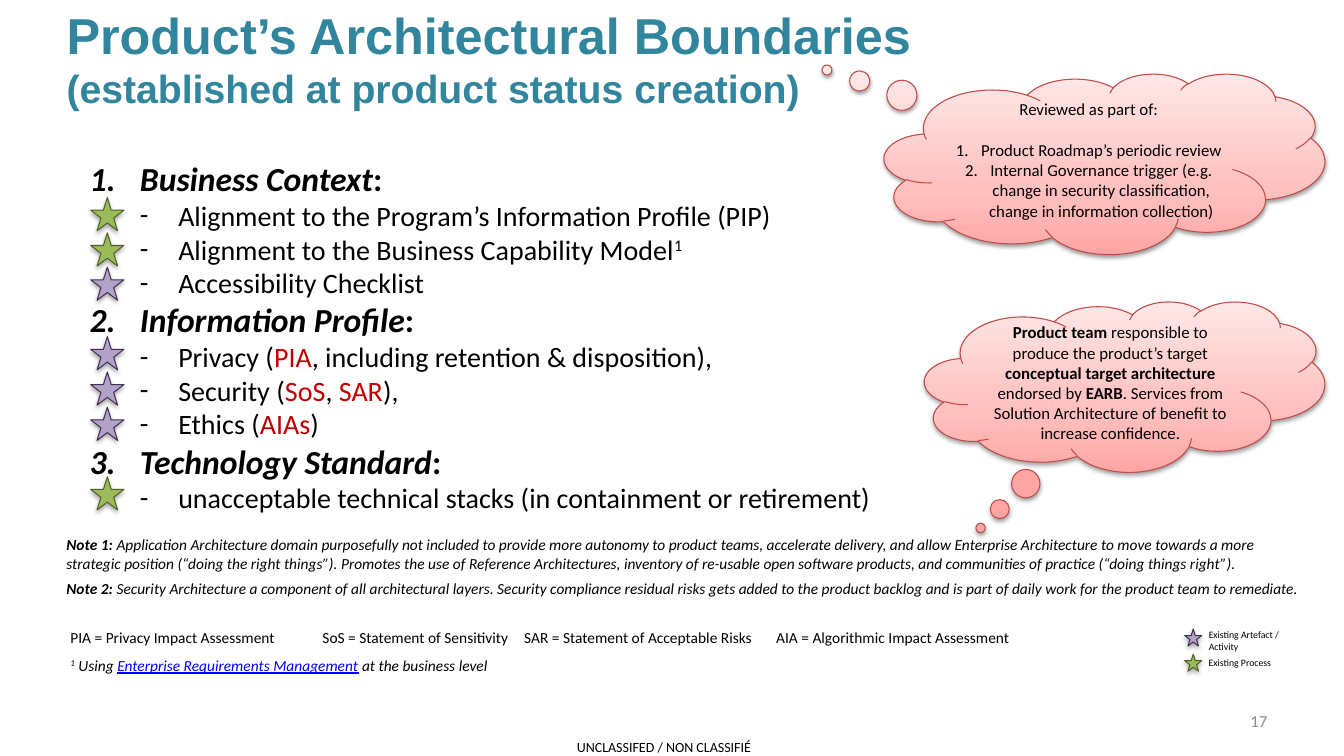
import copy
from dataclasses import dataclass, field

import pptx
import pptx.util
import pptx.dml.color
import pptx.enum.shapes
import pptx.enum.text
import pptx.oxml.ns
import lxml.etree

SCALE = 9144
ALIGN = pptx.enum.text.PP_ALIGN
ANCHOR = pptx.enum.text.MSO_ANCHOR
SHAPE = pptx.enum.shapes.MSO_SHAPE


@dataclass(frozen=True)
class Theme:
    black: str = "000000"
    teal: str = "31859C"
    red: str = "C00000"
    blue: str = "0000FF"
    gray: str = "8C8C8C"
    green: tuple = ("9BBB59", "4F6228")
    purple: tuple = ("B3A2C7", "403152")
    rose: str = "BF4C48"
    blush: tuple = ((0, "FFA6A5"), (0.35, "FFC0BF"), (1, "FFE7E7"))
    head: str = "Arial"
    body: str = "Calibri"
    title: int = 36
    sub: int = 28
    topic: int = 24
    item: int = 20
    cloud: int = 12
    note: int = 11
    foot: int = 10
    key: int = 7
    edge: float = 0.75


THEME = Theme()


@dataclass(frozen=True)
class Run:
    text: str
    bold: bool = False
    slant: bool = False
    color: str = THEME.black
    line: bool = False
    sup: bool = False


@dataclass(frozen=True)
class Para:
    runs: list
    size: int
    font: str = THEME.body
    align: ALIGN = ALIGN.LEFT
    level: int = 0
    mark: str = ""
    left: int = 0
    hang: int = 0
    gap: int = 0
    tabs: tuple = ()


@dataclass(frozen=True)
class Box:
    left: int
    top: int
    width: int
    height: int
    paras: list = field(default_factory=list)
    anchor: ANCHOR = ANCHOR.TOP
    pads: tuple = (10, 5, 10, 5)


def px(count: int) -> int:
    return pptx.util.Emu(count * SCALE)


def rgb(code: str) -> pptx.dml.color.RGBColor:
    return pptx.dml.color.RGBColor.from_string(code)


def child(root, tag: str, **attrs: str):
    return lxml.etree.SubElement(root, pptx.oxml.ns.qn(tag), **attrs)


def place(shape, box: Box) -> None:
    shape.left, shape.top = px(box.left), px(box.top)
    shape.width, shape.height = px(box.width), px(box.height)


def write(frame, box: Box) -> None:
    frame.word_wrap = True
    frame.auto_size = pptx.enum.text.MSO_AUTO_SIZE.NONE
    frame.vertical_anchor = box.anchor
    (frame.margin_left, frame.margin_top,
     frame.margin_right, frame.margin_bottom) = map(px, box.pads)
    for index, para in enumerate(box.paras):
        line = frame.add_paragraph() if index else frame.paragraphs[0]
        line.alignment = para.align
        line.level = para.level
        if para.gap:
            line.space_before = pptx.util.Pt(para.gap)
        props = line._p.get_or_add_pPr()
        if para.mark:
            props.set("marL", str(px(para.left)))
            props.set("indent", str(-px(para.hang)))
            if para.mark == "1.":
                child(props, "a:buFont", typeface="+mj-lt")
                child(props, "a:buAutoNum", type="arabicPeriod")
            else:
                child(props, "a:buFont", typeface=para.font)
                child(props, "a:buChar", char=para.mark)
        if para.tabs:
            stops = child(props, "a:tabLst")
            for stop in para.tabs:
                child(stops, "a:tab", pos=str(px(stop)), algn="l")
        for part in para.runs:
            run = line.add_run()
            run.text = part.text
            font = run.font
            font.name, font.size = para.font, pptx.util.Pt(para.size)
            font.bold, font.italic = part.bold, part.slant
            font.underline = part.line
            font.color.rgb = rgb(part.color)
            if part.sup:
                run._r.get_or_add_rPr().set("baseline", "30000")


def label(slide, box: Box) -> None:
    shape = slide.shapes.add_textbox(0, 0, 0, 0)
    place(shape, box)
    write(shape.text_frame, box)


def shade(shape, alpha: int, drop: int) -> None:
    shape.shadow.inherit = False
    effects = shape._element.spPr.find(pptx.oxml.ns.qn("a:effectLst"))
    outer = child(effects, "a:outerShdw", blurRad="40000", dist=str(drop),
                  dir="5400000", rotWithShape="0")
    tint = child(outer, "a:srgbClr", val=THEME.black)
    child(tint, "a:alpha", val=str(alpha * 1000))


def outline(shape, color: str) -> None:
    shape.line.color.rgb = rgb(color)
    shape.line.width = pptx.util.Pt(THEME.edge)


def star(slide, left: int, top: int, size: int, colors: tuple) -> None:
    shape = slide.shapes.add_shape(SHAPE.STAR_5_POINT, px(left), px(top), px(size), px(size))
    shape.fill.solid()
    shape.fill.fore_color.rgb = rgb(colors[0])
    outline(shape, colors[1])
    shade(shape, 35, 23000)


def cloud(slide, box: Box, tail: tuple) -> None:
    shape = slide.shapes.add_shape(SHAPE.CLOUD_CALLOUT, 0, 0, 0, 0)
    place(shape, box)
    shape.adjustments[0], shape.adjustments[1] = tail
    shape.fill.gradient()
    shape.fill.gradient_angle = 90
    stops = shape._element.spPr.find(".//" + pptx.oxml.ns.qn("a:gsLst"))
    stops.append(copy.deepcopy(stops[0]))
    for stop, (spot, color) in zip(shape.fill.gradient_stops, THEME.blush):
        stop.position = spot
        stop.color.rgb = rgb(color)
    outline(shape, THEME.rose)
    shade(shape, 38, 20000)
    write(shape.text_frame, box)


def topic(text: str) -> Para:
    return Para([Run(text, True, True), Run(":", True)], THEME.topic, mark="1.", left=50, hang=50)


def item(*runs: Run) -> Para:
    return Para(list(runs), THEME.item, level=1, mark="-", left=88, hang=38)


def note(head: str, text: str) -> Para:
    return Para([Run(head, True, True), Run(text, slant=True)], THEME.note)


def puff(*runs: Run, mark: str = "", gap: int = 0) -> Para:
    inset = 25 if mark else 0
    return Para(list(runs), THEME.cloud, align=ALIGN.CENTER, mark=mark, left=inset, hang=inset, gap=gap)


def red(text: str) -> Run:
    return Run(text, color=THEME.red)


TITLE = Box(56, 0, 1234, 73, [
    Para([Run("Product’s Architectural Boundaries", True, color=THEME.teal)], THEME.title, THEME.head),
    Para([Run("(established at product status creation)", True, color=THEME.teal)], THEME.sub, THEME.head),
], ANCHOR.MIDDLE, (10, 46, 10, 5))

LABELS = [
    Box(570, 733, 177, 17, [Para([Run("UNCLASSIFED / NON CLASSIFIÉ")], THEME.foot, align=ALIGN.CENTER)],
        pads=(0, 0, 0, 0)),
    Box(956, 695, 311, 40, [Para([Run("17", color=THEME.gray)], THEME.cloud, align=ALIGN.RIGHT)], ANCHOR.MIDDLE),
    Box(79, 152, 1187, 401, [
        topic("Business Context"),
        item(Run("Alignment to the Program’s Information Profile (PIP)")),
        item(Run("Alignment to the Business Capability Model"), Run("1", sup=True)),
        item(Run("Accessibility Checklist")),
        topic("Information Profile"),
        item(Run("Privacy ("), red("PIA"), Run(", including retention & disposition),")),
        item(Run("Security ("), red("SoS"), Run(", "), red("SAR"), Run("),")),
        item(Run("Ethics ("), red("AIAs"), Run(")")),
        topic("Technology Standard"),
        item(Run("unacceptable technical stacks (in containment or retirement)")),
    ]),
    Box(60, 618, 1187, 29, [Para([Run(
        "PIA = Privacy Impact Assessment\tSoS = Statement of Sensitivity\t"
        "SAR = Statement of Acceptable Risks \tAIA = Algorithmic Impact Assessment")],
        THEME.note, tabs=(250, 450, 700))]),
    Box(60, 646, 1187, 29, [Para([
        Run("1", slant=True, sup=True), Run(" Using ", slant=True),
        Run("Enterprise Requirements Management", slant=True, color=THEME.blue, line=True),
        Run(" at the business level", slant=True)], THEME.note)]),
    Box(56, 526, 1234, 47, [note("Note 1:", (
        " Application Architecture domain purposefully not included to provide more autonomy to product teams, "
        "accelerate delivery, and allow Enterprise Architecture to move towards a more strategic position "
        "(“doing the right things”). Promotes the use of Reference Architectures, inventory of re-usable open "
        "software products, and communities of practice (“doing things right”)."))]),
    Box(56, 570, 1244, 47, [note("Note 2:", (
        " Security Architecture a component of all architectural layers. Security compliance residual risks gets "
        "added to the product backlog and is part of daily work for the product team to remediate."))]),
    Box(1189, 619, 101, 34, [Para([Run("Existing Artefact / Activity")], THEME.key)]),
    Box(1189, 647, 110, 22, [Para([Run("Existing Process")], THEME.key)]),
]

CLOUDS = [
    (Box(877, 73, 437, 179, [
        puff(Run("Reviewed as part of:")),
        puff(Run("Product Roadmap’s periodic review"), mark="1.", gap=15),
        puff(Run("Internal Governance trigger (e.g. change in security classification, "
                 "change in information collection)"), mark="1."),
    ], ANCHOR.MIDDLE), (-0.63, -0.52)),
    (Box(917, 299, 397, 169, [puff(
        Run("Product team", True), Run(" responsible to produce the product’s target "),
        Run("conceptual target architecture", True), Run(" endorsed by "), Run("EARB", True),
        Run(". Services from Solution Architecture of benefit to increase confidence."),
    )], ANCHOR.MIDDLE), (-0.36, 0.83)),
]

ROWS = {0: THEME.green, 1: THEME.green, 2: THEME.purple, 4: THEME.purple,
        5: THEME.purple, 6: THEME.purple, 8: THEME.green}


def main() -> None:
    deck = pptx.Presentation()
    deck.slide_width, deck.slide_height = px(1333), px(750)
    slide = deck.slides.add_slide(deck.slide_layouts[5])
    place(slide.shapes.title, TITLE)
    write(slide.shapes.title.text_frame, TITLE)
    for box in LABELS:
        label(slide, box)
    for row, colors in ROWS.items():
        star(slide, 90, 196 + round(34.6 * row), 33, colors)
    for top, colors in ((624, THEME.purple), (649, THEME.green)):
        star(slide, 1175, top, 17, colors)
    for box, tail in CLOUDS:
        cloud(slide, box, tail)
    deck.save("out.pptx")


if __name__ == "__main__":
    main()
